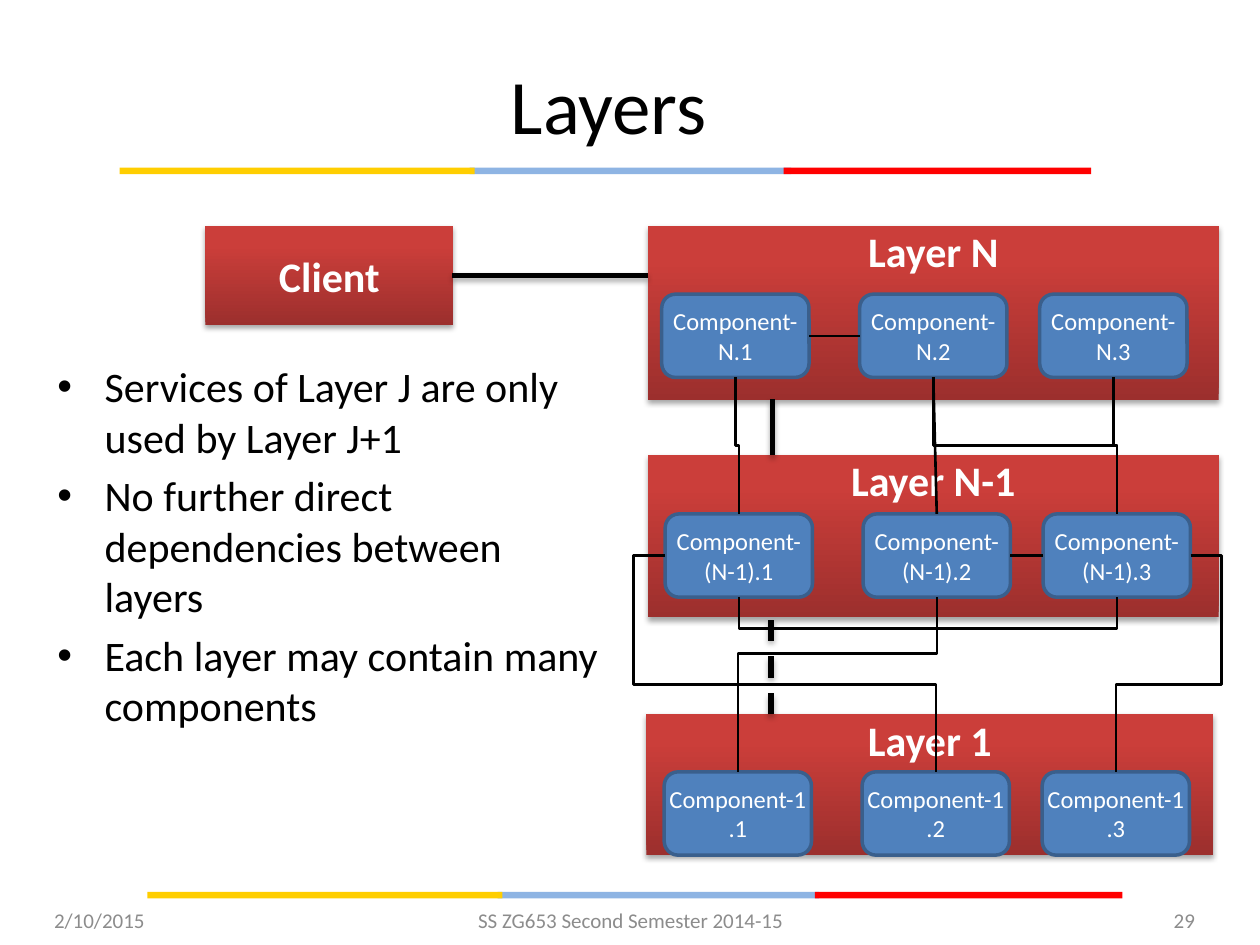
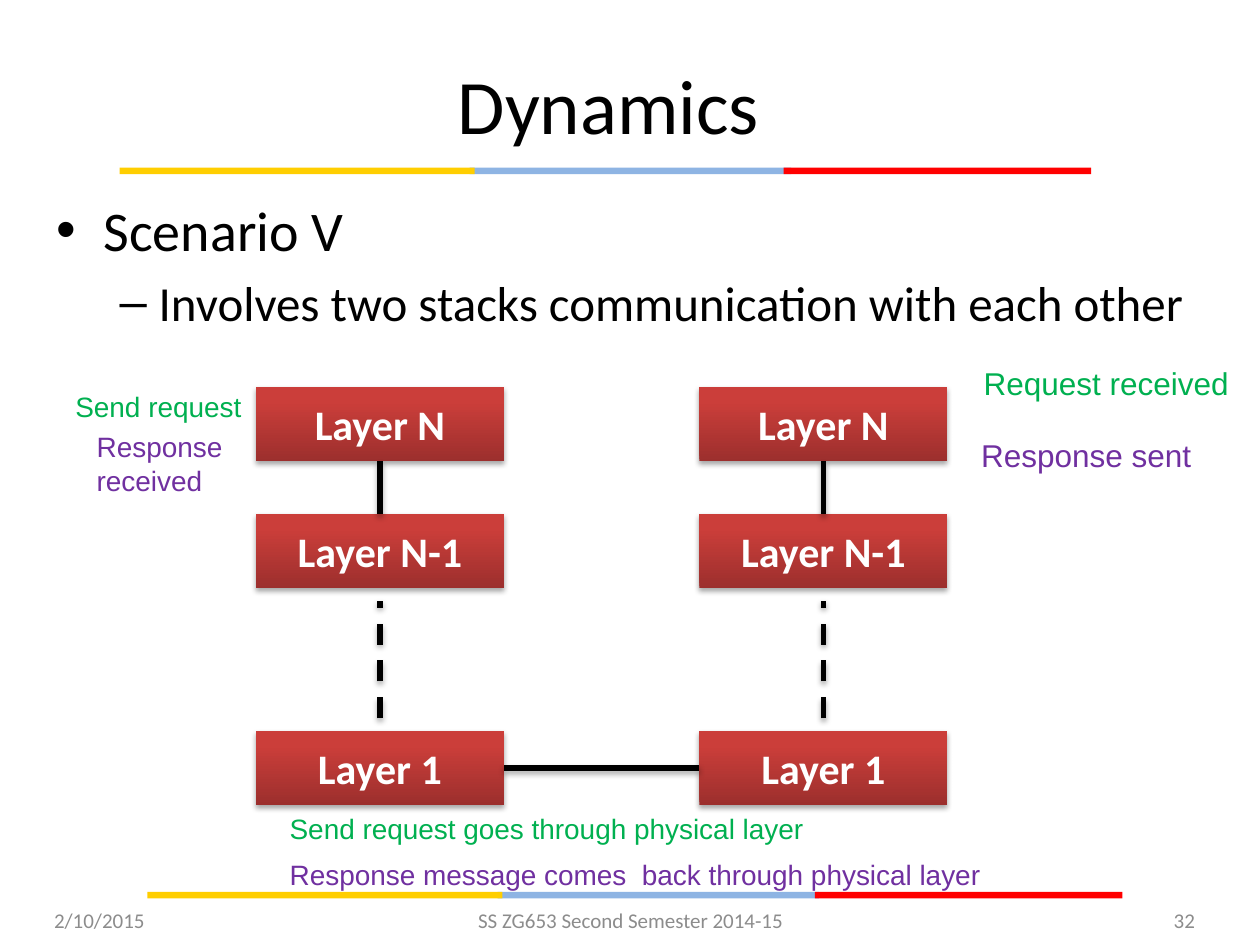
from lxml import etree
from pptx import Presentation
from pptx.dml.color import RGBColor
from pptx.enum.dml import MSO_LINE
from pptx.enum.shapes import MSO_CONNECTOR, MSO_SHAPE
from pptx.enum.text import MSO_ANCHOR, MSO_AUTO_SIZE, PP_ALIGN
from pptx.oxml.ns import qn
from pptx.util import Cm, Pt

RECT, ROUND = MSO_SHAPE.RECTANGLE, MSO_SHAPE.ROUNDED_RECTANGLE
STRAIGHT, ELBOW = MSO_CONNECTOR.STRAIGHT, MSO_CONNECTOR.ELBOW
LEFT, CENTER, RIGHT = PP_ALIGN.LEFT, PP_ALIGN.CENTER, PP_ALIGN.RIGHT
TOP, MIDDLE = MSO_ANCHOR.TOP, MSO_ANCHOR.MIDDLE
FIT, DASH = MSO_AUTO_SIZE.SHAPE_TO_FIT_TEXT, MSO_LINE.DASH

BLACK = RGBColor(0x00, 0x00, 0x00)
WHITE = RGBColor(0xFF, 0xFF, 0xFF)
GREY = RGBColor(0x8C, 0x8C, 0x8C)
YELLOW = RGBColor(0xFF, 0xCE, 0x00)
SKY = RGBColor(0x8E, 0xB4, 0xE3)
RED = RGBColor(0xFF, 0x00, 0x00)
DARK = RGBColor(0x9C, 0x2F, 0x2D)
BRICK = RGBColor(0xCB, 0x3E, 0x3A)
BLUE = RGBColor(0x4F, 0x81, 0xBD)
NAVY = RGBColor(0x3A, 0x5F, 0x8C)
GREEN = RGBColor(0x00, 0xB0, 0x50)
PURPLE = RGBColor(0x70, 0x30, 0xA0)

# Shared content; all places are in cm
DATE, COURSE = "2/10/2015", "SS ZG653 Second Semester 2014-15"
BANDS = [(3.38, (2.41, 9.47, 15.8)), (17.98, (2.97, 10.03, 16.43))]
PARTS = [(1, 6.48, SKY), (2, 6.2, RED), (0, 7.16, YELLOW)]
DOT, RULE = ("•", 0.95, 0.95), ("–", 2.06, 0.79)

# Layers slide
POINTS = [
    ("Services of Layer J are only used by Layer J+1", 24, DOT),
    ("No further direct dependencies between layers", 24, DOT),
    ("Each layer may contain many components", 24, DOT),
]
# name, box, left and top of the first component
LAYERS = [
    ("1", (13.03, 14.4, 11.43, 2.84), (13.39, 15.56)),
    ("N-1", (13.06, 9.17, 11.51, 3.28), (13.41, 10.36)),
    ("N", (13.06, 4.55, 11.51, 3.51), (13.34, 5.93)),
]
COLUMNS = (0, 3.99, 7.62)
NORTH, WEST, SOUTH, EAST = range(4)
# start, its side, end, its side, bends as shares of the run
LINKS = [
    ("N.1", SOUTH, "N-1.1", NORTH, [0.5]),
    ("N.2", SOUTH, "N-1.2", NORTH, []),
    ("N.3", SOUTH, "N-1.3", NORTH, [0.5]),
    ("N.1", EAST, "N.2", WEST, []),
    ("N.2", SOUTH, "N-1.3", NORTH, [0.5]),
    ("N-1.1", SOUTH, "N-1.3", SOUTH, [64]),
    ("N-1.2", EAST, "N-1.3", WEST, []),
    ("N-1.1", WEST, "1.2", NORTH, [-0.117, 0.596]),
    ("N-1.2", SOUTH, "1.1", NORTH, [0.323]),
    ("N-1.3", EAST, "1.3", NORTH, [-0.417, 0.597]),
]

# Dynamics slide
SCENE = [
    ("Scenario V", 32, DOT),
    ("Involves two stacks communication with each other", 28, RULE),
]
STACKS = (5.16, 14.1)
STACK = [("Layer 1", 14.73), ("Layer N-1", 10.36), ("Layer N", 7.8)]
WIDE, HIGH = 5, 1.5
NOTES = [
    ("Send request", (1.27, 7.72, 3.91, 0.94), 16, GREEN, False),
    ("Send request goes through physical layer", (5.59, 16.23, 13.03, 0.94), 16, GREEN, True),
    ("Request received", (19.58, 7.21, 5.51, 1.02), 18, GREEN, False),
    ("Response sent", (19.53, 8.66, 4.78, 1.02), 18, PURPLE, False),
    ("Response message comes  back through physical layer",
     (5.59, 17.15, 16.33, 0.94), 16, PURPLE, True),
    ("Response received", (1.7, 8.53, 3.45, 1.63), 16, PURPLE, True),
]


def write(shape, text, size=24, color=BLACK, font="Calibri", bold=False,
          align=LEFT, anchor=TOP, inset=(0.25, 0.13), wrap=True, mark=None,
          more=False):
    """Put one paragraph into a shape; more adds it below the others."""
    frame = shape.text_frame
    frame.word_wrap, frame.vertical_anchor = wrap, anchor
    frame.margin_left = frame.margin_right = Cm(inset[0])
    frame.margin_top = frame.margin_bottom = Cm(inset[1])
    if not wrap:
        frame.auto_size = FIT
    para = frame.add_paragraph() if more else frame.paragraphs[0]
    para.alignment = align
    if more:
        para.space_before = Pt(size * 0.2)
    if mark:
        sign, left, hang = mark
        props = para._p.get_or_add_pPr()
        props.set("marL", str(Cm(left)))
        props.set("indent", str(-Cm(hang)))
        etree.SubElement(props, qn("a:buFont"), typeface="Arial")
        etree.SubElement(props, qn("a:buChar"), char=sign)
    run = para.add_run()
    run.text = text
    run.font.name, run.font.size, run.font.bold = font, Pt(size), bold
    run.font.color.rgb = color


def label(slide, at, text, **fmt):
    write(slide.shapes.add_textbox(*map(Cm, at)), text, **fmt)


def bullets(slide, at, items):
    box = slide.shapes.add_textbox(*map(Cm, at))
    for i, (text, size, mark) in enumerate(items):
        write(box, text, size=size, mark=mark, more=i > 0)


def block(slide, at, kind=RECT, fill=None):
    shape = slide.shapes.add_shape(kind, *map(Cm, at))
    shape.shadow.inherit = False
    shape.line.fill.background()
    if fill is not None:
        shape.fill.solid()
        shape.fill.fore_color.rgb = fill
    return shape


def shade(effects):
    """Add the soft drop shadow to an effect list."""
    drop = etree.SubElement(effects, qn("a:outerShdw"), blurRad="40000",
                            dist="23000", dir="5400000", rotWithShape="0")
    tint = etree.SubElement(drop, qn("a:srgbClr"), val="000000")
    etree.SubElement(tint, qn("a:alpha"), val="35000")


def brick(slide, at, text, **fmt):
    """Red block with a gradient, a shadow and a bold title."""
    shape = block(slide, at)
    shape.fill.gradient()
    shape.fill.gradient_angle = 90
    for stop, (place, color) in zip(shape.fill.gradient_stops,
                                    [(0, DARK), (0.8, BRICK)]):
        stop.position, stop.color.rgb = place, color
    shade(shape._element.spPr.find(qn("a:effectLst")))
    write(shape, text, color=WHITE, bold=True, align=CENTER, **fmt)


def ink(line, width):
    """Draw a connector in black; return its empty effect list."""
    line.line.color.rgb, line.line.width = BLACK, Pt(width)
    return etree.SubElement(line._element.spPr, qn("a:effectLst"))


def stroke(slide, *ends, dash=False):
    line = slide.shapes.add_connector(STRAIGHT, *map(Cm, ends))
    shade(ink(line, 3))
    if dash:
        line.line.dash_style = DASH


def link(slide, start, side, end, goal, bends):
    """Glue a line to two shapes and place its bends."""
    line = slide.shapes.add_connector(ELBOW if bends else STRAIGHT, 0, 0, 0, 0)
    line.begin_connect(start, side)
    line.end_connect(end, goal)
    ink(line, 1.5)
    if not bends:
        return
    props = line._element.spPr
    if len(bends) == 1:
        # One bend runs down first: the frame is turned by a quarter
        x1, y1, x2, y2 = line.begin_x, line.begin_y, line.end_x, line.end_y
        long, wide = max(y2 - y1, Cm(0.01)), abs(x2 - x1)
        line.left, line.top = (x1 + x2 - long) // 2, (y1 + y2 - wide) // 2
        line.width, line.height = long, wide
        frame = props.find(qn("a:xfrm"))
        frame.set("rot", str((270 if x2 > x1 else 90) * 60000))
        frame.set("flipH", "1" if x2 > x1 else "0")
        frame.set("flipV", "0")
    shape = props.find(qn("a:prstGeom"))
    shape.set("prst", f"bentConnector{len(bends) + 2}")
    guides = shape.find(qn("a:avLst"))
    if guides is None:
        guides = etree.SubElement(shape, qn("a:avLst"))
    for i, bend in enumerate(bends, 1):
        etree.SubElement(guides, qn("a:gd"), name=f"adj{i}",
                         fmla=f"val {round(bend * 100000)}")


def page(deck, title, number):
    """Start a slide with its bands, title and footer."""
    slide = deck.slides.add_slide(deck.slide_layouts[6])
    for top, starts in BANDS:
        for i, width, color in PARTS:
            block(slide, (starts[i], top, width, 0.13), fill=color)
    label(slide, (0.84, 0.79, 22.86, 2.62), title, size=44, align=CENTER,
          anchor=MIDDLE)
    for left, width, text, align in [(0.84, 5.92, DATE, LEFT),
                                     (8.69, 8.05, COURSE, CENTER),
                                     (18.42, 5.92, number, RIGHT)]:
        label(slide, (left, 18.03, width, 1.02), text, size=12, color=GREY,
              align=align, anchor=MIDDLE)
    return slide


def layers(deck):
    slide = page(deck, "Layers", "29")
    bullets(slide, (0.91, 7.14, 11.43, 9.17), POINTS)
    for name, at, _ in LAYERS:
        brick(slide, at, f"Layer {name}", inset=(0.25, 0))
    brick(slide, (4.14, 4.55, WIDE, 2.01), "Client", anchor=MIDDLE)
    stroke(slide, 9.12, 5.55, 13.06, 5.55)
    stroke(slide, 15.57, 9.17, 15.57, 8.05)
    stroke(slide, 15.54, 14.4, 15.54, 12.42, dash=True)
    # Components of each layer
    parts = {}
    for name, _, (left, top) in LAYERS:
        shown = f"({name})" if "-" in name else name
        for i, step in enumerate(COLUMNS, 1):
            part = block(slide, (left + step, top, 2.97, 1.68), ROUND, BLUE)
            part.line.color.rgb, part.line.width = NAVY, Pt(2)
            write(part, f"Component-{shown}.{i}", size=14, color=WHITE,
                  align=CENTER, anchor=MIDDLE, inset=(0, 0))
            parts[f"{name}.{i}"] = part
    for start, side, end, goal, bends in LINKS:
        link(slide, parts[start], side, parts[end], goal, bends)


def dynamics(deck):
    slide = page(deck, "Dynamics", "32")
    bullets(slide, (0.89, 3.81, 23.29, 13.97), SCENE)
    low, mid, high = (top for _, top in STACK)
    for left in STACKS:
        for name, top in STACK:
            brick(slide, (left, top, WIDE, HIGH), name, anchor=MIDDLE)
        axis = left + WIDE / 2
        stroke(slide, axis, mid, axis, high + HIGH)
        stroke(slide, axis, low - 0.25, axis, mid + HIGH + 0.25, dash=True)
    wire = low + HIGH / 2
    stroke(slide, STACKS[0] + WIDE, wire, STACKS[1], wire)
    for text, at, size, color, wrap in NOTES:
        label(slide, at, text, size=size, color=color, font="Arial", wrap=wrap)


def main():
    deck = Presentation()
    deck.slide_width, deck.slide_height = Cm(25.4), Cm(19.05)
    layers(deck)
    dynamics(deck)
    deck.save("out.pptx")


if __name__ == "__main__":
    main()
